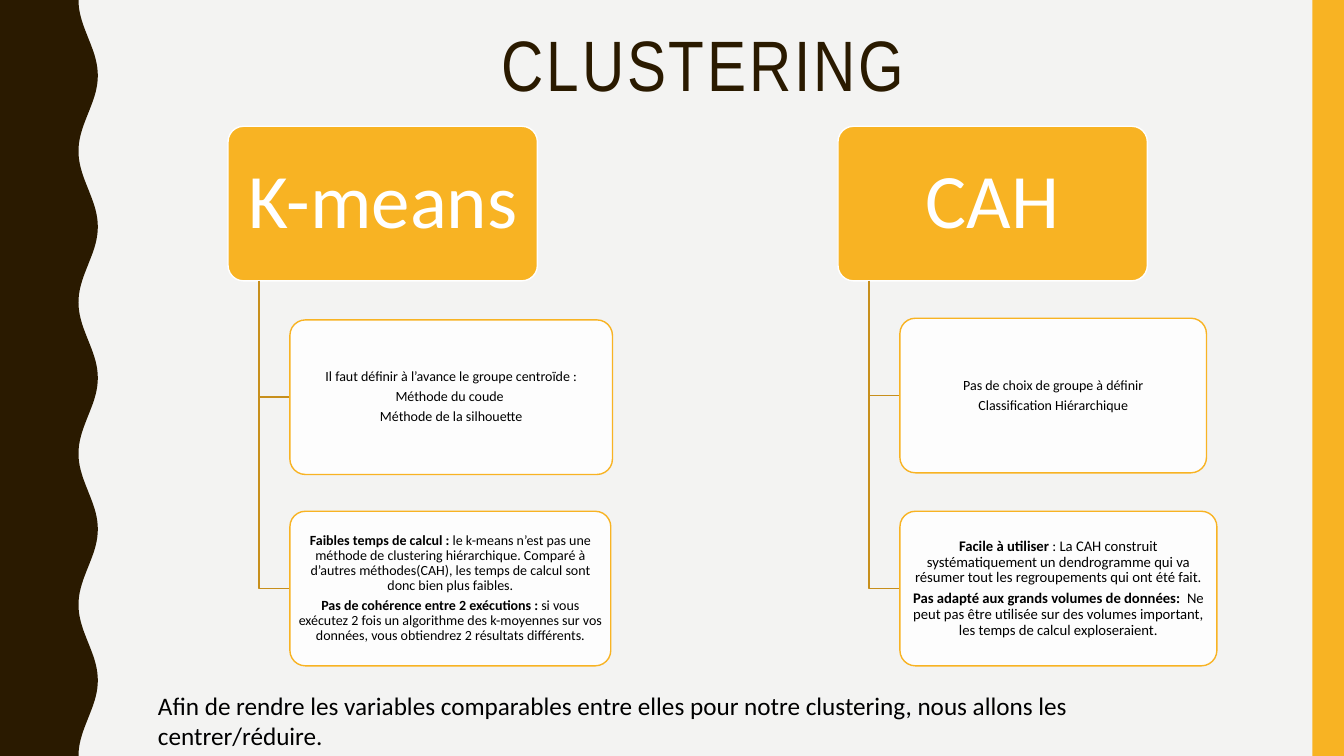
from dataclasses import dataclass
from math import cos, pi

from lxml import etree
from pptx import Presentation
from pptx.dml.color import RGBColor
from pptx.enum.shapes import MSO_SHAPE
from pptx.enum.text import MSO_ANCHOR, MSO_AUTO_SIZE, PP_ALIGN
from pptx.oxml.ns import qn
from pptx.util import Pt

RECTANGLE = MSO_SHAPE.RECTANGLE
ROUNDED = MSO_SHAPE.ROUNDED_RECTANGLE
CENTER = PP_ALIGN.CENTER
TOP, MIDDLE = MSO_ANCHOR.TOP, MSO_ANCHOR.MIDDLE
NO_AUTOSIZE = MSO_AUTO_SIZE.NONE

COLOURS = {
    "background": "F3F3F2", "brown": "2A1A00", "amber": "F8B323",
    "branch": "C78F1C", "white": "FFFFFF", "black": "000000",
}
PAGE_WIDTH, PAGE_HEIGHT = 960, 540
BOX_HEIGHT = 110.4
ROOT_TOP, ROOT_WIDTH = 90.2, 221
TRUNK_OFFSET, CHILD_OFFSET = 22.1, 44.2


@dataclass
class Span:
    text: str
    bold: bool = False


@dataclass
class Child:
    top: float
    width: float
    size: float
    paragraphs: list[list[Span]]


@dataclass
class Method:
    name: str
    left: float
    children: list[Child]


METHODS = [
    Method("K-means", 162.9, [
        Child(228.5, 230.4, 10, [
            [Span("Il faut définir à l’avance le groupe centroïde :")],
            [Span("Méthode du coude ")],
            [Span("Méthode de la silhouette")],
        ]),
        Child(365.2, 229.2, 10, [
            [Span("Faibles temps de calcul : ", True),
             Span("le k-means n’est pas une méthode de clustering hiérarchique. Comparé à "
                  "d’autres méthodes(CAH), les temps de calcul sont donc bien plus faibles.")],
            [Span("Pas de cohérence entre 2 exécutions : ", True),
             Span("si vous exécutez 2 fois un algorithme des k-moyennes sur vos données, "
                  "vous obtiendrez 2 résultats différents.")],
        ]),
    ]),
    Method("CAH", 598.6, [
        Child(227.3, 219, 10, [
            [Span("Pas de choix de groupe à définir")],
            [Span("Classification Hiérarchique")],
        ]),
        Child(365.2, 226.4, 10.5, [
            [Span("Facile à utiliser ", True),
             Span(": La CAH construit systématiquement un dendrogramme qui va résumer "
                  "tout les regroupements qui ont été fait.")],
            [Span("Pas adapté aux grands volumes de données:  ", True),
             Span("Ne peut pas être utilisée sur des volumes important, "
                  "les temps de calcul exploseraient.")],
        ]),
    ]),
]


def colour(name: str) -> RGBColor:
    return RGBColor.from_string(COLOURS[name])


def paint(shape, fill: str | None, line: str | None = None) -> None:
    shape.shadow.inherit = False
    if fill:
        shape.fill.solid()
        shape.fill.fore_color.rgb = colour(fill)
    else:
        shape.fill.background()
    if line:
        shape.line.color.rgb = colour(line)
        shape.line.width = Pt(1)
    else:
        shape.line.fill.background()


def style(span, size: float, tint: str, font: str = "Calibri", bold: bool = False) -> None:
    span.font.name, span.font.size, span.font.bold = font, Pt(size), bold
    span.font.color.rgb = colour(tint)


def draw_outline(page, points: list[tuple[float, float]], closed: bool):
    pairs = [(Pt(x), Pt(y)) for x, y in points]
    builder = page.shapes.build_freeform(*pairs[0])
    builder.add_line_segments(pairs[1:], close=closed)
    return builder.convert_to_shape()


def draw_box(page, left: float, top: float, width: float, fill: str, line: str,
             paragraphs: list[list[Span]], size: float, tint: str,
             side: float, edge: float):
    box = page.shapes.add_shape(ROUNDED, Pt(left), Pt(top), Pt(width), Pt(BOX_HEIGHT))
    box.adjustments[0] = 0.1
    paint(box, fill, line)
    frame = box.text_frame
    frame.word_wrap, frame.vertical_anchor = True, MIDDLE
    frame.margin_left = frame.margin_right = Pt(side)
    frame.margin_top = frame.margin_bottom = Pt(edge)
    for index, spans in enumerate(paragraphs):
        para = frame.add_paragraph() if index else frame.paragraphs[0]
        para.alignment, para.line_spacing = CENTER, 0.9
        if index < len(paragraphs) - 1:
            para.space_after = Pt(3.5)
        for part in spans:
            span = para.add_run()
            span.text = part.text
            style(span, size, tint, bold=part.bold)
    return box


def draw_method(page, method: Method) -> None:
    draw_box(page, method.left, ROOT_TOP, ROOT_WIDTH, "amber", "white",
             [[Span(method.name)]], 55, "white", 8, 6)
    trunk, child_left = method.left + TRUNK_OFFSET, method.left + CHILD_OFFSET
    for child in method.children:
        middle = child.top + BOX_HEIGHT / 2
        branch = draw_outline(page, [(trunk, ROOT_TOP + BOX_HEIGHT), (trunk, middle),
                                     (child_left, middle)], False)
        paint(branch, None, "branch")
        box = draw_box(page, child_left, child.top, child.width, "white", "amber",
                       child.paragraphs, child.size, "black", 1.4, 1)
        tint = box.fill._xPr.find(qn("a:solidFill"))[0]
        etree.SubElement(tint, qn("a:alpha")).set("val", "90000")


def draw_borders(page) -> None:
    # Wavy left band: five full waves down the page
    wave = [(63 - 6.9 * cos(2 * pi * y / 108), y) for y in range(0, PAGE_HEIGHT + 1, 3)]
    paint(draw_outline(page, [(0, 0), *wave, (0, PAGE_HEIGHT)], True), "brown")
    # Right band
    band = page.shapes.add_shape(RECTANGLE, Pt(937.5), 0, Pt(22.5), Pt(PAGE_HEIGHT))
    paint(band, "amber")


def write_title(page) -> None:
    title = page.shapes.title
    title.left, title.top, title.width, title.height = Pt(101.5), Pt(18), Pt(801.4), Pt(117.4)
    frame = title.text_frame
    frame.text = "CLUSTERING"
    frame.auto_size, frame.vertical_anchor = NO_AUTOSIZE, TOP
    para = frame.paragraphs[0]
    para.alignment, para.line_spacing = CENTER, 0.9
    span = para.runs[0]
    style(span, 51, "brown", "Arial Narrow")
    span.font._element.set("spc", "200")


def write_conclusion(page) -> None:
    box = page.shapes.add_textbox(Pt(105.8), Pt(489.6), Pt(700), Pt(50.4))
    frame = box.text_frame
    frame.word_wrap = True
    frame.text = ("Afin de rendre les variables comparables entre elles pour notre "
                  "clustering, nous allons les centrer/réduire.")
    style(frame.paragraphs[0].runs[0], 18, "black")


def main() -> None:
    deck = Presentation()
    deck.slide_width, deck.slide_height = Pt(PAGE_WIDTH), Pt(PAGE_HEIGHT)
    page = deck.slides.add_slide(deck.slide_layouts[5])
    page.background.fill.solid()
    page.background.fill.fore_color.rgb = colour("background")
    draw_borders(page)
    write_title(page)
    for method in METHODS:
        draw_method(page, method)
    write_conclusion(page)
    deck.save("out.pptx")


if __name__ == "__main__":
    main()
